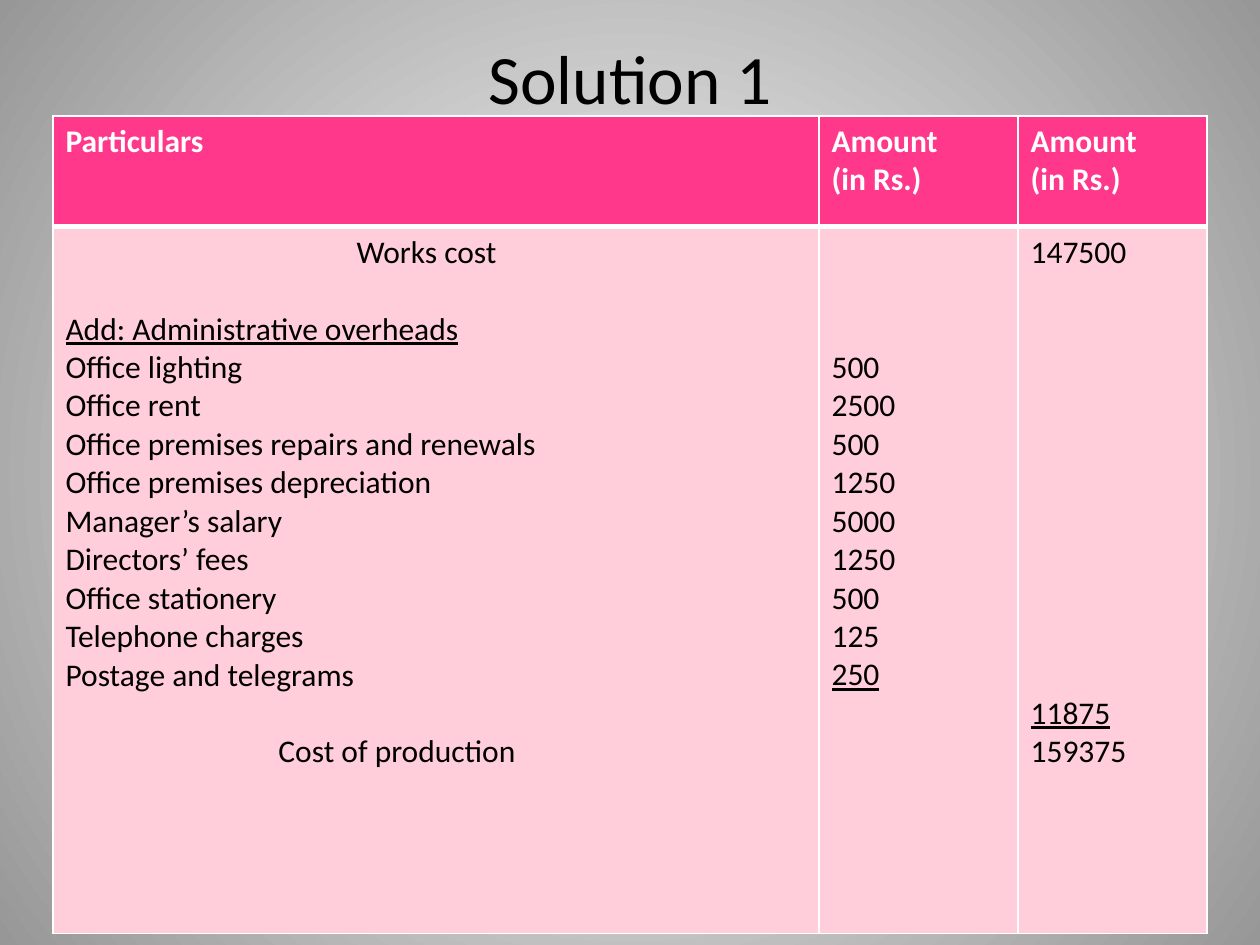
from dataclasses import dataclass
from typing import Optional
from lxml.etree import SubElement
from pptx import Presentation
from pptx.dml.color import RGBColor as Rgb
from pptx.enum.text import MSO_ANCHOR as Anchor, PP_ALIGN as Align
from pptx.oxml import parse_xml
from pptx.oxml.ns import nsdecls, qn
from pptx.util import Inches, Pt

HUES = {"ink": "000000", "white": "FFFFFF", "grey": "979797",
        "pink": "FF388C", "pale": "FFCEDA"}
FONT = "Calibri"
SIZE = 18
PITCH = 0.305


@dataclass
class Line:
    text: str
    skip: int = 0
    indent: float = 0
    under: bool = False


@dataclass
class Entry:
    name: str
    cost: str


ITEMS = [
    Entry("Office lighting", "500"),
    Entry("Office rent", "2500"),
    Entry("Office premises repairs and renewals", "500"),
    Entry("Office premises depreciation", "1250"),
    Entry("Manager’s salary", "5000"),
    Entry("Directors’ fees", "1250"),
    Entry("Office stationery", "500"),
    Entry("Telephone charges", "125"),
    Entry("Postage and telegrams", "250"),
]
AMOUNT = [Line("Amount"), Line("(in Rs.)")]
HEADS = [[Line("Particulars")], AMOUNT, AMOUNT]
LABELS = [
    Line("Works cost", indent=2.31),
    Line("Add: Administrative overheads", skip=1, under=True),
    *[Line(item.name) for item in ITEMS],
    Line("Cost of production", skip=1, indent=1.69),
]
COSTS = [Line(item.cost, under=item is ITEMS[-1]) for item in ITEMS]
COSTS[0].skip = 3
TOTALS = [Line("147500"), Line("11875", skip=11, under=True), Line("159375")]
ROWS = [HEADS, [LABELS, COSTS, TOTALS]]
WIDTHS = [6.08, 1.58, 1.5]
HEIGHTS = [0.88, 5.61]


def tint(name: str) -> Rgb:
    return Rgb.from_string(HUES[name])


def style(font, size: float, hue: str, bold: bool = False,
          under: Optional[bool] = None) -> None:
    font.name = FONT
    font.size = Pt(size)
    font.bold = bold
    font.underline = under
    font.color.rgb = tint(hue)


def backdrop(slide) -> None:
    fill = slide.background.fill
    fill.gradient()
    for stop, hue, place in zip(fill.gradient_stops, ("white", "grey"), (0, 1)):
        stop.color.rgb = tint(hue)
        stop.position = place
    grad = next(slide.element.iter(qn("a:gradFill")))
    for lin in grad.findall(qn("a:lin")):
        grad.remove(lin)
    ring = SubElement(grad, qn("a:path"), {"path": "circle"})
    SubElement(ring, qn("a:fillToRect"), dict.fromkeys("ltrb", "50000"))


def title(slide, text: str) -> None:
    box = slide.shapes.add_textbox(Inches(0.5), Inches(0.3), Inches(9), Inches(0.62))
    frame = box.text_frame
    frame.word_wrap = True
    frame.vertical_anchor = Anchor.MIDDLE
    frame.text = text
    para = frame.paragraphs[0]
    para.alignment = Align.CENTER
    style(para.runs[0].font, 39.6, "ink")


def border(cell, head: bool) -> None:
    thick = "B" if head else "T"
    props = cell._tc.get_or_add_tcPr()
    for spot, side in enumerate("LRTB"):
        width = Pt(3 if side == thick else 1)
        props.insert(spot, parse_xml(
            f'<a:ln{side} {nsdecls("a")} w="{width}"><a:solidFill>'
            f'<a:srgbClr val="{HUES["white"]}"/></a:solidFill></a:ln{side}>'))


def write(cell, lines: list[Line], head: bool) -> None:
    cell.fill.solid()
    cell.fill.fore_color.rgb = tint("pink" if head else "pale")
    border(cell, head)
    cell.margin_top = Inches(0.05 + lines[0].skip * PITCH)
    cell.text_frame.text = "\n".join(line.text for line in lines)
    for spot, (para, line) in enumerate(zip(cell.text_frame.paragraphs, lines)):
        if spot and line.skip:
            para.space_before = Inches(line.skip * PITCH)
        if line.indent:
            para._p.get_or_add_pPr().set("marL", str(Inches(line.indent)))
        style(para.runs[0].font, SIZE, "white" if head else "ink", head, line.under)


def ledger(slide) -> None:
    table = slide.shapes.add_table(
        len(HEIGHTS), len(WIDTHS), Inches(0.42), Inches(0.92),
        Inches(sum(WIDTHS)), Inches(sum(HEIGHTS))).table
    for col, width in zip(table.columns, WIDTHS):
        col.width = Inches(width)
    for row, height, cells in zip(table.rows, HEIGHTS, ROWS):
        row.height = Inches(height)
        for cell, lines in zip(row.cells, cells):
            write(cell, lines, cells is HEADS)


def main() -> None:
    deck = Presentation()
    deck.slide_width = Inches(10)
    deck.slide_height = Inches(7.5)
    slide = deck.slides.add_slide(deck.slide_layouts[6])
    backdrop(slide)
    title(slide, "Solution 1")
    ledger(slide)
    deck.save("out.pptx")


if __name__ == "__main__":
    main()
